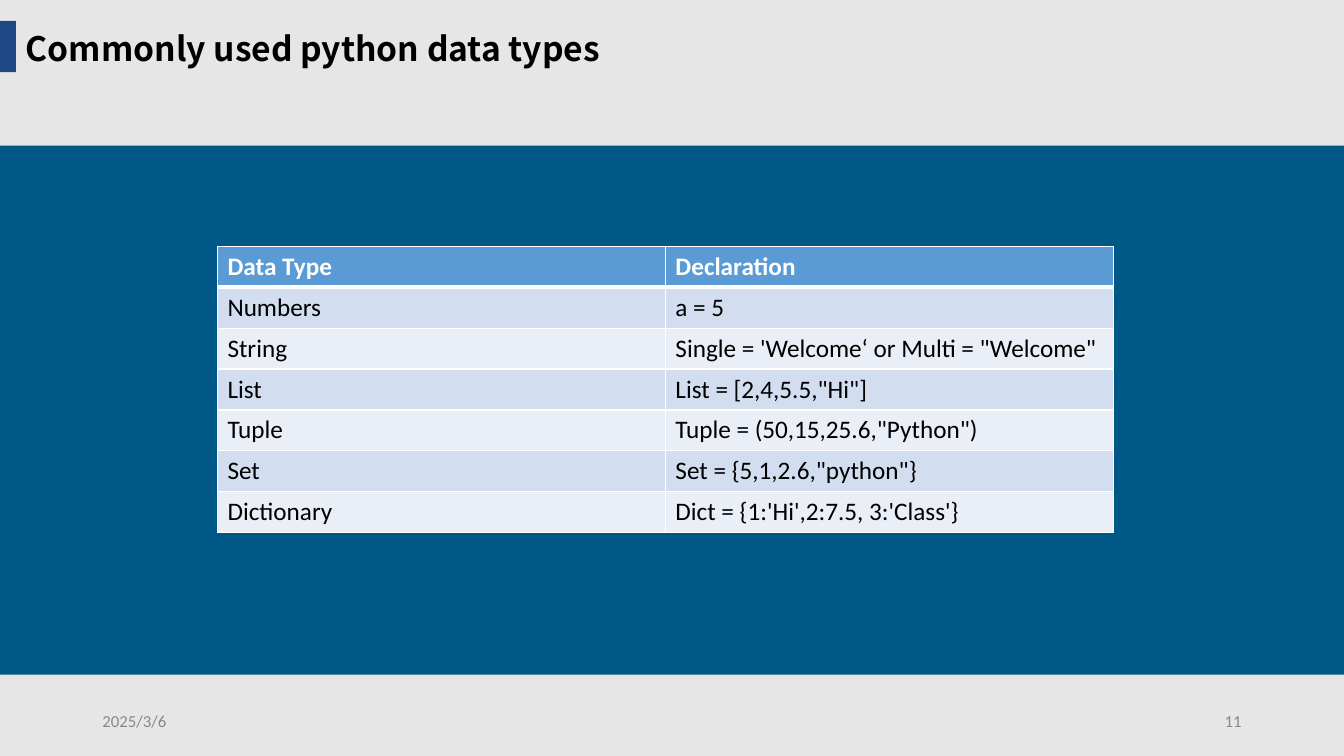
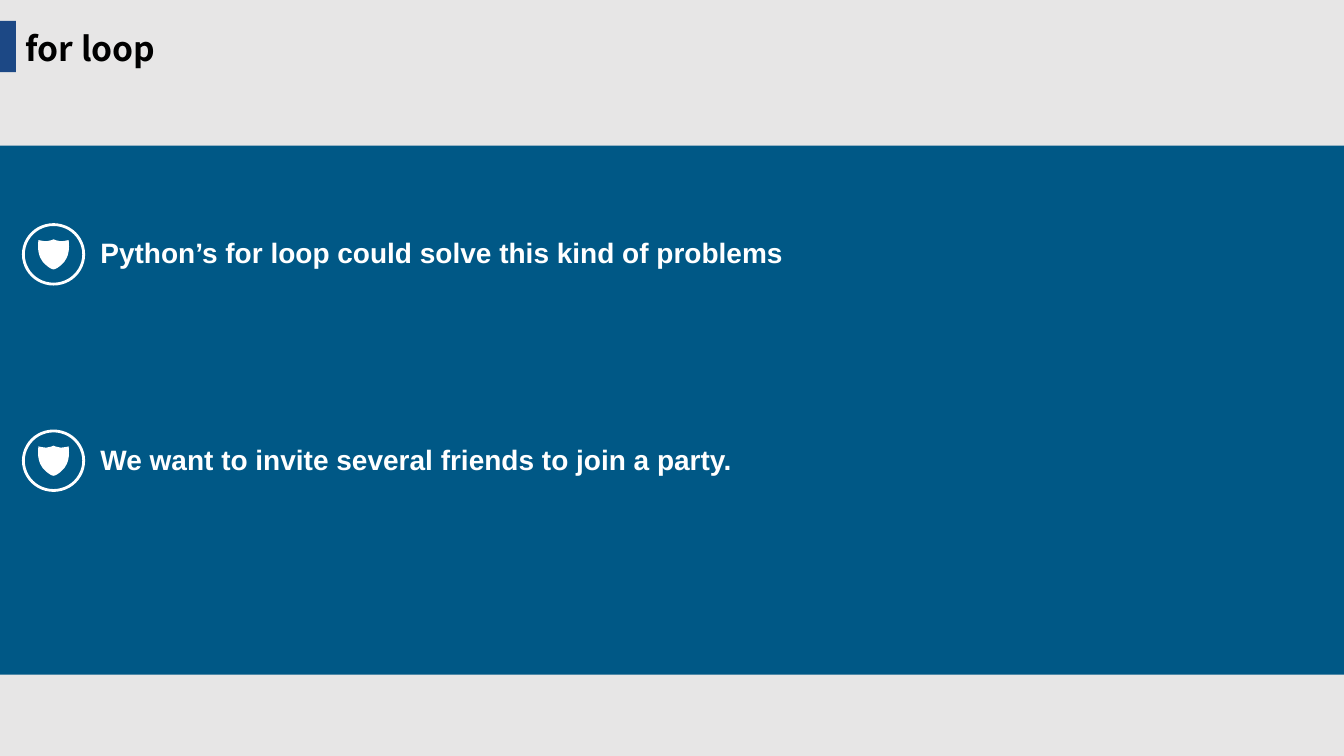
from dataclasses import dataclass

from lxml import etree
from pptx import Presentation
from pptx.dml.color import RGBColor
from pptx.enum.shapes import MSO_SHAPE
from pptx.enum.text import MSO_ANCHOR, PP_ALIGN
from pptx.oxml.ns import qn
from pptx.util import Cm, Pt

RECT, OVAL = MSO_SHAPE.RECTANGLE, MSO_SHAPE.OVAL
TOP, MIDDLE = MSO_ANCHOR.TOP, MSO_ANCHOR.MIDDLE
LEFT, RIGHT = PP_ALIGN.LEFT, PP_ALIGN.RIGHT


@dataclass(frozen=True)
class TextStyle:
    font: str
    size: int
    color: str
    bold: bool = False


@dataclass(frozen=True)
class Theme:
    page: str = "E7E6E6"
    band: str = "005886"
    accent: str = "1C4885"
    white: str = "FFFFFF"
    header_fill: str = "5B9BD5"
    row_fills: tuple[str, str] = ("D2DEEF", "EAEFF7")
    title: TextStyle = TextStyle("Noto Sans CJK SC", 24, "000000", True)
    footer: TextStyle = TextStyle("Calibri", 12, "898989")
    point: TextStyle = TextStyle("Arial", 20, "FFFFFF", True)
    header: TextStyle = TextStyle("Calibri", 18, "FFFFFF", True)
    cell: TextStyle = TextStyle("Calibri", 18, "000000")


@dataclass(frozen=True)
class Box:
    """A place on the slide, in centimetres."""
    x: float
    y: float
    w: float
    h: float

    def emu(self):
        return Cm(self.x), Cm(self.y), Cm(self.w), Cm(self.h)


@dataclass(frozen=True)
class Point:
    text: str
    center_y: float


@dataclass(frozen=True)
class Curve:
    """A cubic curve: two control points and its end, in centimetres."""
    a: tuple[float, float]
    b: tuple[float, float]
    end: tuple[float, float]


THEME = Theme()
SLIDE_W, SLIDE_H = 33.87, 19.05
BAND = Box(0, 3.67, SLIDE_W, 13.33)
TITLE_BAR = Box(0, 0.53, 0.4, 1.29)
TITLE = Box(0.4, 0.58, 15.6, 1.3)
DATE = Box(2.33, 17.65, 7.62, 1.02)
NUMBER = Box(23.92, 17.65, 7.62, 1.02)
TABLE = Box(5.48, 6.21, 22.58, 7.21)

DATA_TYPES = [
    ("Data Type", "Declaration"),
    ("Numbers", "a = 5"),
    ("String", "Single = 'Welcome‘ or Multi = \"Welcome\""),
    ("List", 'List = [2,4,5.5,"Hi"]'),
    ("Tuple", 'Tuple = (50,15,25.6,"Python")'),
    ("Set", 'Set = {5,1,2.6,"python"}'),
    ("Dictionary", "Dict = {1:'Hi',2:7.5, 3:'Class'}"),
]
POINTS = [
    Point("Python’s for loop could solve this kind of problems", 6.41),
    Point("We want to invite several friends to join a party.", 11.61),
]

ICON_X = 1.35
RING_W, RING_H = 1.52, 1.5
SHIELD_HALF_W, SHIELD_H = 0.39, 0.76
SHIELD_TOP = (0, 0)
# Right half of the shield, from its top centre down to its tip.
SHIELD_RIGHT = [
    Curve((0, 0), (0.1, 0.05), (0.18, 0.05)),
    Curve((0.25, 0.05), (0.38, 0.02), (0.38, 0.02)),
    Curve((0.38, 0.02), (0.39, 0.08), (SHIELD_HALF_W, 0.18)),
    Curve((0.39, 0.41), (0.3, 0.56), (0.2, 0.64)),
    Curve((0.15, 0.69), (0.05, 0.76), (0, SHIELD_H)),
]


def rgb(color: str) -> RGBColor:
    return RGBColor.from_string(color)


def write(tf, text: str, style: TextStyle, align=LEFT) -> None:
    tf.text = text
    p = tf.paragraphs[0]
    p.alignment = align
    for r in p.runs:
        r.font.name = style.font
        r.font.size = Pt(style.size)
        r.font.bold = style.bold
        r.font.color.rgb = rgb(style.color)


def add_text(s, box: Box, text: str, style: TextStyle, align=LEFT,
             anchor=TOP, wrap: bool = True, inset: bool = True) -> None:
    tf = s.shapes.add_textbox(*box.emu()).text_frame
    tf.word_wrap = wrap
    tf.vertical_anchor = anchor
    if not inset:
        tf.margin_left = tf.margin_right = tf.margin_top = tf.margin_bottom = 0
    write(tf, text, style, align)


def paint(sp, color: str) -> None:
    """Give a shape a flat fill without outline or shadow."""
    sp.shadow.inherit = False
    sp.fill.solid()
    sp.fill.fore_color.rgb = rgb(color)
    sp.line.fill.background()


def add_slide(prs, title: str):
    """Add a slide with the page colour, band and title."""
    s = prs.slides.add_slide(prs.slide_layouts[6])
    s.background.fill.solid()
    s.background.fill.fore_color.rgb = rgb(THEME.page)
    for box, color in ((BAND, THEME.band), (TITLE_BAR, THEME.accent)):
        paint(s.shapes.add_shape(RECT, *box.emu()), color)
    add_text(s, TITLE, title, THEME.title, wrap=False)
    return s


def set_border(cell, side: str, width: float) -> None:
    ln = etree.SubElement(cell._tc.get_or_add_tcPr(), qn(f"a:ln{side}"), w=str(Pt(width)))
    fill = etree.SubElement(ln, qn("a:solidFill"))
    etree.SubElement(fill, qn("a:srgbClr"), val=THEME.white)


def add_data_table(s, box: Box, rows: list[tuple[str, str]]) -> None:
    table = s.shapes.add_table(len(rows), len(rows[0]), *box.emu()).table
    table.horz_banding = False
    for i, row in enumerate(rows):
        is_header = i == 0
        color = THEME.header_fill if is_header else THEME.row_fills[(i - 1) % 2]
        top, bottom = (3 if i == 1 else 1), (3 if is_header else 1)
        for j, text in enumerate(row):
            cell = table.cell(i, j)
            for side, width in (("L", 1), ("R", 1), ("T", top), ("B", bottom)):
                set_border(cell, side, width)
            cell.fill.solid()
            cell.fill.fore_color.rgb = rgb(color)
            write(cell.text_frame, text, THEME.header if is_header else THEME.cell)


def mirror(point: tuple[float, float]) -> tuple[float, float]:
    return -point[0], point[1]


def shield_curves() -> list[Curve]:
    """Return the whole outline: the right half, then its mirror image."""
    starts = [SHIELD_TOP] + [c.end for c in SHIELD_RIGHT[:-1]]
    left = [Curve(mirror(c.b), mirror(c.a), mirror(start))
            for start, c in zip(starts, SHIELD_RIGHT)]
    return SHIELD_RIGHT + left[::-1]


def add_shield(group, center_y: float) -> None:
    curves = shield_curves()
    builder = group.shapes.build_freeform(*SHIELD_TOP)
    builder.add_line_segments([(Cm(c.end[0]), Cm(c.end[1])) for c in curves])
    sp = builder.convert_to_shape(Cm(ICON_X), Cm(center_y - SHIELD_H / 2))
    for segment, curve in zip(list(sp._element.iter(qn("a:lnTo"))), curves):
        segment.tag = qn("a:cubicBezTo")
        for i, (x, y) in enumerate((curve.a, curve.b)):
            pt = etree.Element(qn("a:pt"), x=str(Cm(x + SHIELD_HALF_W)), y=str(Cm(y)))
            segment.insert(i, pt)
    paint(sp, THEME.white)


def add_shield_icon(s, center_y: float) -> None:
    group = s.shapes.add_group_shape()
    add_shield(group, center_y)
    box = Box(ICON_X - RING_W / 2, center_y - RING_H / 2, RING_W, RING_H)
    ring = group.shapes.add_shape(OVAL, *box.emu())
    ring.shadow.inherit = False
    ring.fill.background()
    ring.line.color.rgb = rgb(THEME.white)
    ring.line.width = Pt(2)


def add_point(s, point: Point) -> None:
    add_shield_icon(s, point.center_y)
    box = Box(2.53, point.center_y - 0.47, 23.44, 0.86)
    add_text(s, box, point.text, THEME.point, inset=False)


def main() -> None:
    prs = Presentation()
    prs.slide_width, prs.slide_height = Cm(SLIDE_W), Cm(SLIDE_H)

    s = add_slide(prs, "Commonly used python data types")
    add_text(s, DATE, "2025/3/6", THEME.footer, anchor=MIDDLE)
    add_text(s, NUMBER, "11", THEME.footer, RIGHT, MIDDLE)
    add_data_table(s, TABLE, DATA_TYPES)

    s = add_slide(prs, "for loop")
    for point in POINTS:
        add_point(s, point)

    prs.save("out.pptx")


if __name__ == "__main__":
    main()
